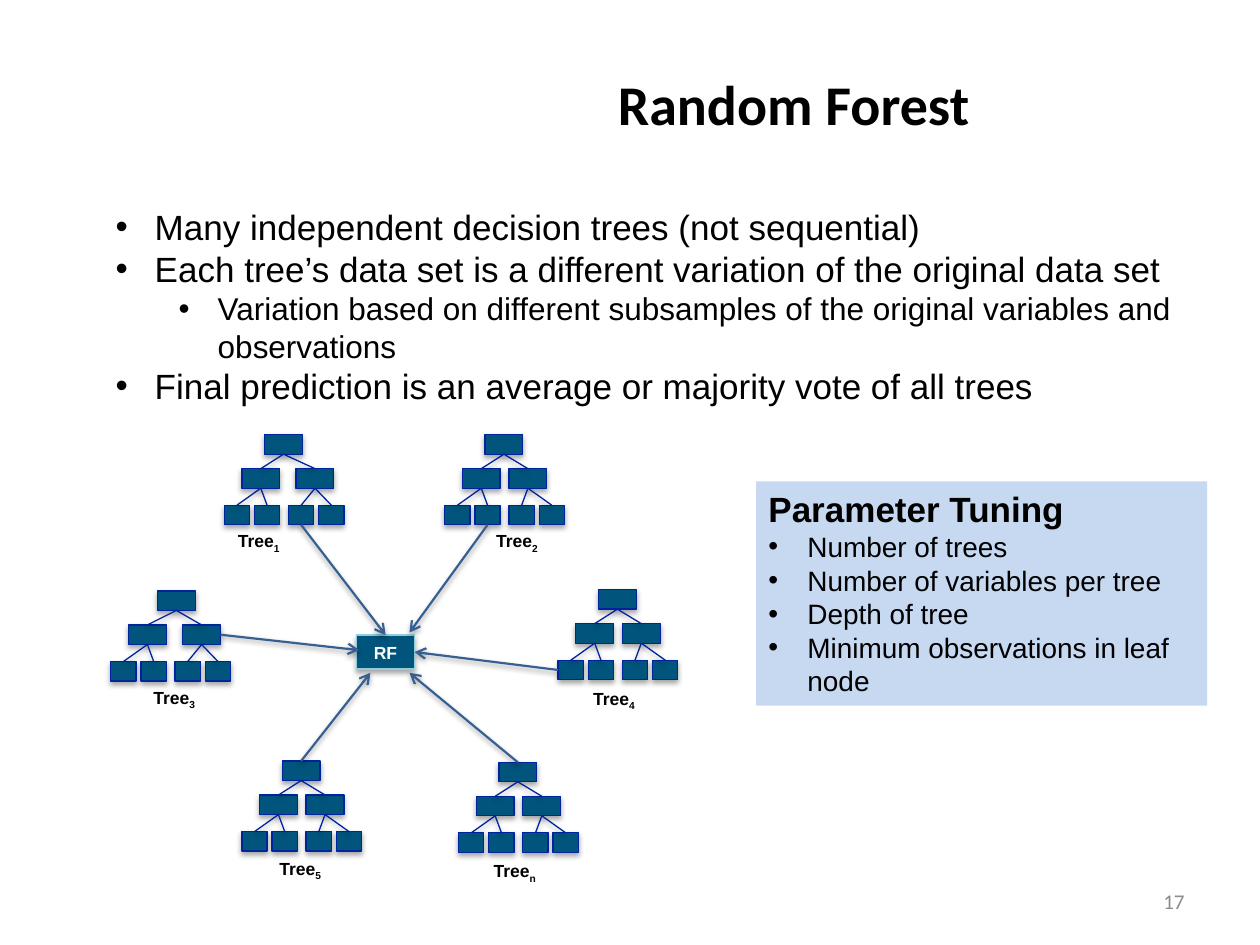
from lxml import etree
from pptx import Presentation
from pptx.dml.color import RGBColor
from pptx.enum import shapes, text
from pptx.oxml.ns import qn
from pptx.util import Inches, Pt

BLACK = RGBColor(0x00, 0x00, 0x00)
WHITE = RGBColor(0xFF, 0xFF, 0xFF)
GREY = RGBColor(0x8C, 0x8C, 0x8C)
TEAL = RGBColor(0x01, 0x54, 0x7C)
NAVY = RGBColor(0x00, 0x23, 0xA0)
PALE_TEAL = RGBColor(0x93, 0xCD, 0xDD)
ARROW_BLUE = RGBColor(0x37, 0x60, 0x92)
PANEL_BLUE = RGBColor(0x8E, 0xB4, 0xE3)

TOP, LEFT, BOTTOM, RIGHT = range(4)  # connection sites of a rectangle

# (text, size, bullet indent or None, bold)
POINTS = [
    ("Many independent decision trees (not sequential)", 20, 0.31, False),
    ("Each tree’s data set is a different variation of the original data set", 20, 0.31, False),
    ("Variation based on different subsamples of the original variables and observations",
     18, 0.81, False),
    ("Final prediction is an average or majority vote of all trees", 20, 0.31, False),
]
TUNING = [("Parameter Tuning", 20, None, True)] + [
    (item, 16, 0.31, False)
    for item in ("Number of trees", "Number of variables per tree", "Depth of tree",
                 "Minimum observations in leaf node")
]

# Offsets from the tree's left edge and top
ROOT_X, BRANCH_XS, LEAF_XS = 0.32, (0.14, 0.51), (0, 0.24, 0.51, 0.75)
BRANCH_Y, LEAF_Y = 0.27, 0.56
NODE_W, LEAF_W, NODE_H = 0.3, 0.2, 0.155
RF_BOX = (2.83, 5.04, 0.46, 0.27)

# Position, label position, arrow start (node, site), arrow end (RF site or point)
TREES = [
    dict(name="1", at=(1.78, 3.45), label=(1.79, 4.16), branches=(0.14, 0.57),
         start=("leaf2", BOTTOM), end=TOP),
    dict(name="2", at=(3.53, 3.45), label=(3.84, 4.16),
         start=("leaf1", BOTTOM), end=(3.25, 5.02)),
    dict(name="3", at=(0.88, 4.69), label=(1.12, 5.4), root=0.37, branches=(0.14, 0.57),
         start=("branch1", RIGHT), end=(2.85, 5.16)),
    dict(name="4", at=(4.43, 4.68), label=(4.61, 5.41),
         start=("leaf0", LEFT), end=RIGHT),
    dict(name="5", at=(1.92, 6.04), label=(2.12, 6.76),
         start=("root", TOP), end=(2.94, 5.34)),
    dict(name="n", at=(3.64, 6.05), label=(3.82, 6.78),
         start=("root", TOP), end=(3.25, 5.34)),
]


def add_shadow(item, opacity, distance):
    """Soft shadow straight below; call once fill and line are set."""
    effects = etree.SubElement(item._element.spPr, qn("a:effectLst"))
    shadow = etree.SubElement(effects, qn("a:outerShdw"), blurRad=str(Pt(3.1)),
                              dist=str(Pt(distance)), dir="5400000", rotWithShape="0")
    black = etree.SubElement(shadow, qn("a:srgbClr"), val="000000")
    etree.SubElement(black, qn("a:alpha"), val=str(opacity * 1000))


def set_font(paragraph, size, color, bold=False, name="Arial"):
    font = paragraph.font
    font.name, font.size, font.bold = name, Pt(size), bold
    font.color.rgb = color


def add_text(slide, box, words, size, color, align, bold=False, name="Arial",
             anchor=text.MSO_ANCHOR.TOP):
    frame = slide.shapes.add_textbox(*map(Inches, box)).text_frame
    frame.word_wrap = True
    frame.vertical_anchor = anchor
    paragraph = frame.paragraphs[0]
    paragraph.text, paragraph.alignment = words, align
    set_font(paragraph, size, color, bold, name)
    return paragraph


def fill_list(frame, lines):
    frame.word_wrap = True
    frame.vertical_anchor = text.MSO_ANCHOR.TOP
    for i, (words, size, indent, bold) in enumerate(lines):
        paragraph = frame.add_paragraph() if i else frame.paragraphs[0]
        paragraph.text, paragraph.alignment = words, text.PP_ALIGN.LEFT
        set_font(paragraph, size, BLACK, bold)
        if indent:
            props = paragraph._p.get_or_add_pPr()
            props.set("marL", str(Inches(indent)))
            props.set("indent", str(Inches(-0.31)))
            bullet_font = etree.Element(qn("a:buFont"), typeface="Arial")
            props.insert(0, bullet_font)
            bullet_font.addnext(etree.Element(qn("a:buChar"), char="•"))


def add_node(slide, x, y, w, h=NODE_H, line=NAVY):
    node = slide.shapes.add_shape(shapes.MSO_SHAPE.RECTANGLE, *map(Inches, (x, y, w, h)))
    node.fill.solid()
    node.fill.fore_color.rgb = TEAL
    node.line.color.rgb = line
    node.line.width = Pt(0.75)
    add_shadow(node, 35, 1.8)
    return node


def add_link(slide, start, end, color, width):
    """Line from (node, site) to (node, site) or to a point in inches."""
    joined = not isinstance(end[0], (int, float))
    stop = (0, 0) if joined else map(Inches, end)
    link = slide.shapes.add_connector(shapes.MSO_CONNECTOR.STRAIGHT, 0, 0, *stop)
    link.begin_connect(*start)
    if joined:
        link.end_connect(*end)
    link.line.color.rgb = color
    link.line.width = Pt(width)
    return link


def add_tree(slide, tree):
    x, y = tree["at"]
    nodes = {"root": add_node(slide, x + tree.get("root", ROOT_X), y, NODE_W)}
    for i, dx in enumerate(tree.get("branches", BRANCH_XS)):
        nodes[f"branch{i}"] = add_node(slide, x + dx, y + BRANCH_Y, NODE_W)
    for i, dx in enumerate(LEAF_XS):
        nodes[f"leaf{i}"] = add_node(slide, x + dx, y + LEAF_Y, LEAF_W)
    pairs = [("root", f"branch{i}") for i in range(2)]
    pairs += [(f"branch{i // 2}", f"leaf{i}") for i in range(4)]
    for parent, child in pairs:
        link = add_link(slide, (nodes[parent], BOTTOM), (nodes[child], TOP), NAVY, 0.75)
        add_shadow(link, 35, 1.8)
    label = add_text(slide, (*tree["label"], 0.67, 0.29), "Tree", 10, BLACK,
                     text.PP_ALIGN.LEFT, bold=True)
    subscript = label.add_run()
    subscript.text = tree["name"]
    subscript.font._element.set("baseline", "-25000")
    return nodes


def add_vote_arrow(slide, tree, nodes, forest):
    name, site = tree["start"]
    end = tree["end"] if isinstance(tree["end"], tuple) else (forest, tree["end"])
    arrow = add_link(slide, (nodes[name], site), end, ARROW_BLUE, 1.25)
    etree.SubElement(arrow.line._get_or_add_ln(), qn("a:tailEnd"), type="arrow")
    add_shadow(arrow, 38, 1.6)


def main():
    deck = Presentation()
    deck.slide_width, deck.slide_height = Inches(10), Inches(7.5)
    slide = deck.slides.add_slide(deck.slide_layouts[6])

    add_text(slide, (2.6, 0.47, 7.4, 0.7), "Random Forest", 32, BLACK, text.PP_ALIGN.CENTER,
             bold=True, name="Calibri", anchor=text.MSO_ANCHOR.MIDDLE)
    add_text(slide, (7.17, 6.95, 2.33, 0.4), "17", 12, GREY, text.PP_ALIGN.RIGHT,
             name="Calibri", anchor=text.MSO_ANCHOR.MIDDLE)
    points = slide.shapes.add_textbox(*map(Inches, (0.82, 1.58, 8.6, 1.72)))
    fill_list(points.text_frame, POINTS)

    panel = slide.shapes.add_shape(shapes.MSO_SHAPE.RECTANGLE,
                                   *map(Inches, (6, 3.82, 3.58, 1.78)))
    panel.shadow.inherit = False
    panel.fill.solid()
    panel.fill.fore_color.rgb = PANEL_BLUE
    tint = panel._element.spPr.find(".//" + qn("a:srgbClr"))
    etree.SubElement(tint, qn("a:alpha"), val="50000")
    panel.line.fill.background()
    fill_list(panel.text_frame, TUNING)

    forest = add_node(slide, *RF_BOX, line=PALE_TEAL)
    forest.text_frame.word_wrap = False
    vote = forest.text_frame.paragraphs[0]
    vote.text, vote.alignment = "RF", text.PP_ALIGN.CENTER
    set_font(vote, 10, WHITE, bold=True)

    grown = [(tree, add_tree(slide, tree)) for tree in TREES]
    for tree, nodes in grown:
        add_vote_arrow(slide, tree, nodes, forest)

    deck.save("out.pptx")


if __name__ == "__main__":
    main()
